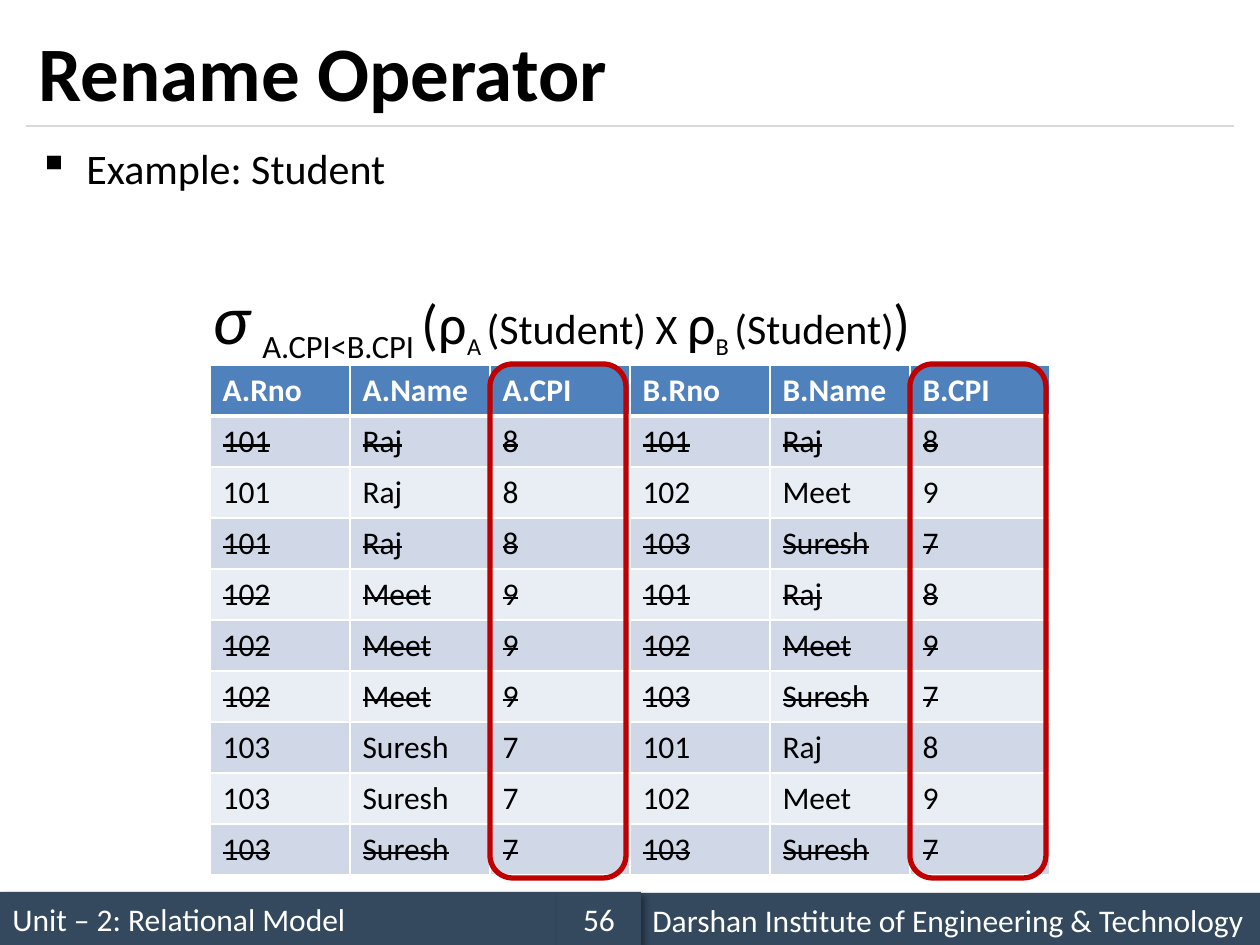
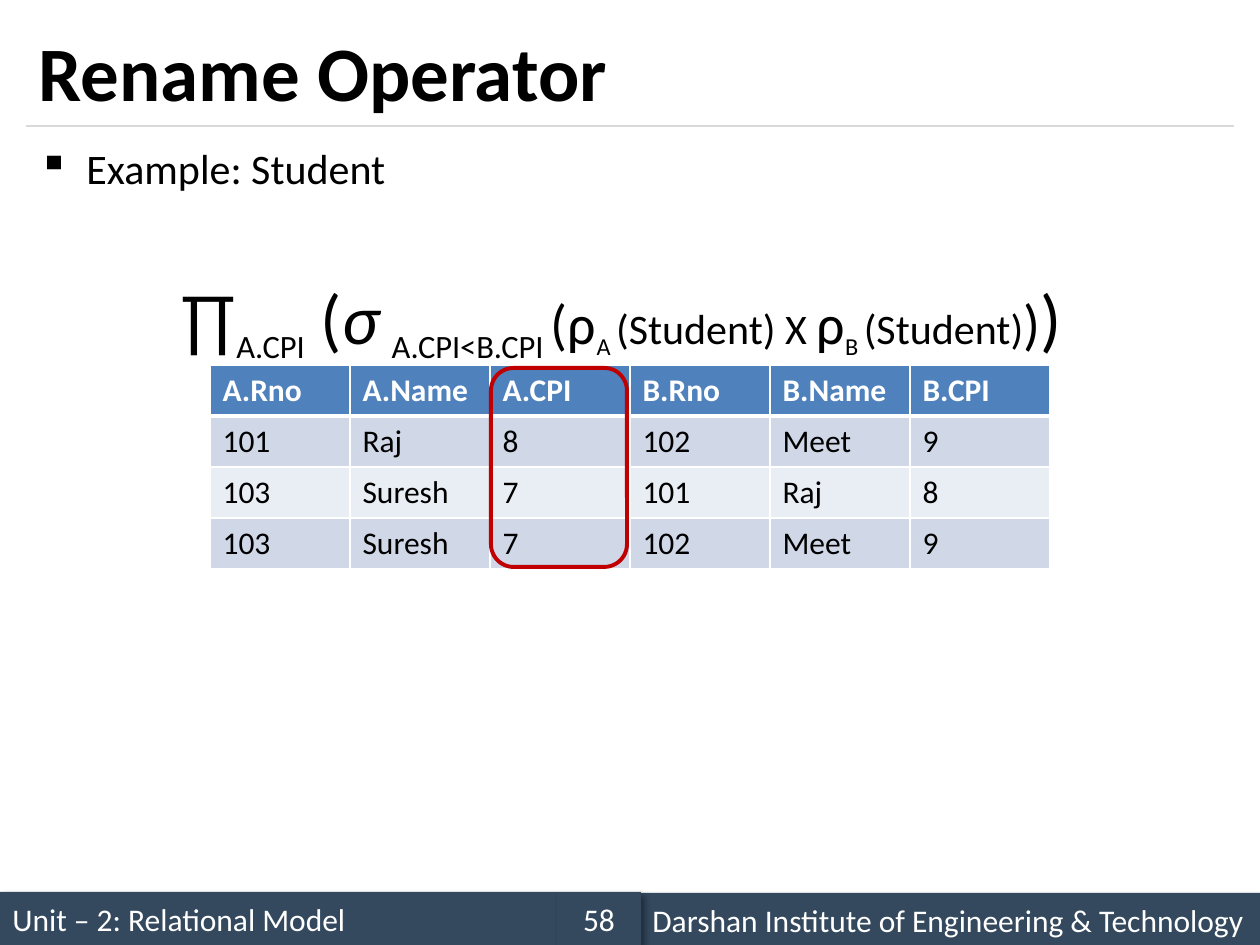
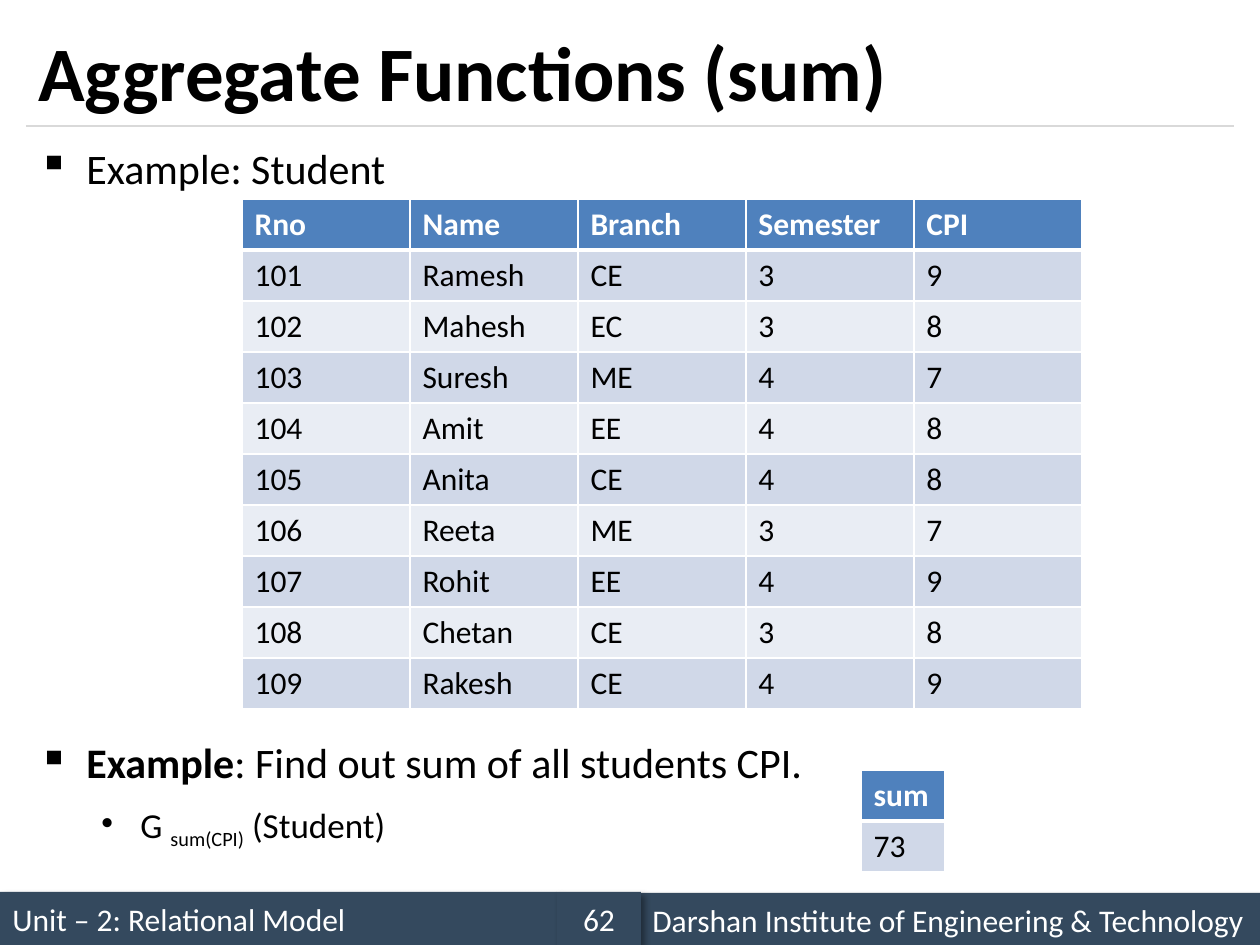
from itertools import product

from lxml.etree import SubElement
from pptx import Presentation
from pptx.dml.color import RGBColor
from pptx.enum.shapes import MSO_CONNECTOR as CONN, MSO_SHAPE as SHAPE
from pptx.enum.text import MSO_ANCHOR as ANCHOR, PP_ALIGN as ALIGN
from pptx.oxml.ns import qn
from pptx.util import Emu, Pt

PX = 914400 / 126
FONT = "Calibri"
BLACK, WHITE, NAVY, RULE = "000000", "FFFFFF", "34495E", "D9D9D9"
HEADER, BAND_DARK, BAND_LIGHT, MARK = "4F81BD", "D0D8E8", "E9EDF4", "C00000"


def px(*lengths):
    """Turn px into EMU: one value for one length, else a list."""
    emus = [Emu(round(n * PX)) for n in lengths]
    return emus[0] if len(emus) == 1 else emus


def rgb(hex_color):
    return RGBColor.from_string(hex_color)


def add_run(p, text, size, style="", color=BLACK):
    """Add a run; style holds any of bold, italic, sub, strike."""
    r = p.add_run()
    r.text = text
    f = r.font
    f.name, f.size, f.color.rgb = FONT, Pt(size), rgb(color)
    f.bold, f.italic = "bold" in style, "italic" in style
    rPr = r._r.get_or_add_rPr()
    if "sub" in style:
        rPr.set("baseline", "-25000")
    if "strike" in style:
        rPr.set("strike", "sngStrike")


def add_shadow(shape):
    effects = shape._element.spPr.find(qn("a:effectLst"))
    shadow = SubElement(effects, qn("a:outerShdw"), blurRad=str(Pt(4)),
                        dist=str(Pt(3)), dir="2700000", algn="tl", rotWithShape="0")
    color = SubElement(shadow, qn("a:srgbClr"), val=BLACK)
    SubElement(color, qn("a:alpha"), val="40000")


def set_borders(cell, top, bottom):
    """Draw white borders, one point wide at the sides."""
    tcPr = cell._tc.get_or_add_tcPr()
    widths = {"a:lnL": 1, "a:lnR": 1, "a:lnT": top, "a:lnB": bottom}
    for i, (tag, width) in enumerate(widths.items()):
        ln = SubElement(tcPr, qn(tag), w=str(Pt(width)))
        SubElement(SubElement(ln, qn("a:solidFill")), qn("a:srgbClr"), val=WHITE)
        tcPr.insert(i, ln)


class Deck:
    def __init__(self):
        self.prs = Presentation()
        self.prs.slide_width, self.prs.slide_height = px(1260, 945)

    def new_slide(self, title, number):
        self.s = self.prs.slides.add_slide(self.prs.slide_layouts[6])
        self.footer(0, 892, 557, "Unit – 2: Relational Model")
        self.rule(26, 1234, 126)
        self.footer(640, 893, 620, "Darshan Institute of Engineering & Technology")
        self.footer(557, 892, 84, str(number), ALIGN.CENTER)
        tf = self.text_box(26, 15, 1207, 111)
        tf.vertical_anchor = ANCHOR.MIDDLE
        add_run(tf.paragraphs[0], title, 44, "bold")

    def footer(self, x, y, w, text, align=ALIGN.LEFT):
        sp = self.s.shapes.add_shape(SHAPE.RECTANGLE, *px(x, y, w, 53))
        sp.shadow.inherit = False
        add_shadow(sp)
        sp.fill.solid()
        sp.fill.fore_color.rgb = rgb(NAVY)
        sp.line.fill.background()
        tf = sp.text_frame
        tf.vertical_anchor = ANCHOR.MIDDLE
        p = tf.paragraphs[0]
        p.alignment = align
        add_run(p, text, 18, color=WHITE)

    def rule(self, x1, x2, y):
        line = self.s.shapes.add_connector(CONN.STRAIGHT, *px(x1, y, x2, y))
        line.line.color.rgb = rgb(RULE)
        line.line.width = Pt(0.75)
        SubElement(line._element.spPr, qn("a:effectLst"))

    def text_box(self, x, y, w, h):
        tf = self.s.shapes.add_textbox(*px(x, y, w, h)).text_frame
        tf.word_wrap = True
        return tf

    def body(self):
        self.tf = self.text_box(26, 136, 1207, 735)
        self.paragraph([("Example: Student", 24)], bullet="▪")

    def paragraph(self, runs, left=48, hang=48, before=0, bullet=None):
        p = self.tf.paragraphs[0]
        if p.runs:
            p = self.tf.add_paragraph()
        pPr = p._p.get_or_add_pPr()
        pPr.set("marL", str(px(left)))
        pPr.set("indent", str(px(-hang)))
        if bullet:
            SubElement(pPr, qn("a:buChar"), char=bullet)
        if before:
            p.space_before = Pt(before)
        for run in runs:
            add_run(p, *run)

    def table(self, x, y, col_width, header, rows, struck=lambda row: False):
        """Draw a banded table; rows for which struck is true are struck out."""
        n_rows, n_cols = len(rows) + 1, len(header)
        table = self.s.shapes.add_table(
            n_rows, n_cols, *px(x, y, col_width * n_cols, 51 * n_rows)).table
        table.first_row = table.horz_banding = False
        for col in table.columns:
            col.width = px(col_width)
        for i, row in enumerate([header, *rows]):
            table.rows[i].height = px(51)
            if i == 0:
                fill, color, style = HEADER, WHITE, "bold"
            else:
                fill, color = BAND_DARK if i % 2 else BAND_LIGHT, BLACK
                style = "strike" if struck(row) else ""
            for j, value in enumerate(row):
                cell = table.cell(i, j)
                cell.fill.solid()
                cell.fill.fore_color.rgb = rgb(fill)
                set_borders(cell, 3 if i == 1 else 1, 3 if i == 0 else 1)
                add_run(cell.text_frame.paragraphs[0], str(value), 18, style, color)

    def highlight(self, x, y, h, width):
        sp = self.s.shapes.add_shape(SHAPE.ROUNDED_RECTANGLE, *px(x, y, 136, h))
        sp.shadow.inherit = False
        sp.fill.background()
        sp.line.color.rgb = rgb(MARK)
        sp.line.width = Pt(width)


STUDENTS = [(101, "Raj", 8), (102, "Meet", 9), (103, "Suresh", 7)]
PAIRS = [a + b for a, b in product(STUDENTS, repeat=2)]
PAIR_HEADER = [f"{side}.{name}" for side, name in product("AB", ("Rno", "Name", "CPI"))]

SELECTION = [
    ("σ", 40, "italic"), (" ", 32), ("A.CPI<B.CPI ", 32, "sub"), ("(ρ", 32),
    ("A ", 24, "sub"), ("(Student) X ", 24), ("ρ", 32), ("B ", 24, "sub"),
    ("(Student)", 24), (")", 32),
]
PROJECTION = [("∏", 40), ("A.CPI", 32, "sub"), (" (", 40), *SELECTION, (")", 40)]

CLASS_HEADER = ["Rno", "Name", "Branch", "Semester", "CPI"]
CLASS = [
    (101, "Ramesh", "CE", 3, 9),
    (102, "Mahesh", "EC", 3, 8),
    (103, "Suresh", "ME", 4, 7),
    (104, "Amit", "EE", 4, 8),
    (105, "Anita", "CE", 4, 8),
    (106, "Reeta", "ME", 3, 7),
    (107, "Rohit", "EE", 4, 9),
    (108, "Chetan", "CE", 3, 8),
    (109, "Rakesh", "CE", 4, 9),
]


def is_selected(pair):
    return pair[2] < pair[5]


def rename_slide(deck, number, formula, left, rows):
    deck.new_slide("Rename Operator", number)
    deck.body()
    deck.paragraph(formula, left=left, hang=0, before=47)
    deck.table(210, 365, 140, PAIR_HEADER, rows, lambda row: not is_selected(row))


def sum_slide(deck):
    deck.new_slide("Aggregate Functions (sum)", 62)
    deck.body()
    deck.paragraph([("Example", 24, "bold"), (": Find out sum of all students CPI.", 24)],
                   before=311, bullet="▪")
    deck.paragraph([("G ", 20), ("sum(CPI)", 20, "sub"), (" (Student)", 20)],
                   left=102, hang=39, before=9, bullet="•")
    deck.table(242, 199, 168, CLASS_HEADER, CLASS)
    deck.table(861, 770, 84, ["sum"], [[sum(row[-1] for row in CLASS)]])


def main():
    deck = Deck()
    rename_slide(deck, 56, SELECTION, 174, PAIRS)
    for x in (490, 910):
        deck.highlight(x, 364, 514, 3)
    rename_slide(deck, 58, PROJECTION, 142, [pair for pair in PAIRS if is_selected(pair)])
    deck.highlight(491, 368, 199, 2.25)
    sum_slide(deck)
    deck.prs.save("out.pptx")


if __name__ == "__main__":
    main()
